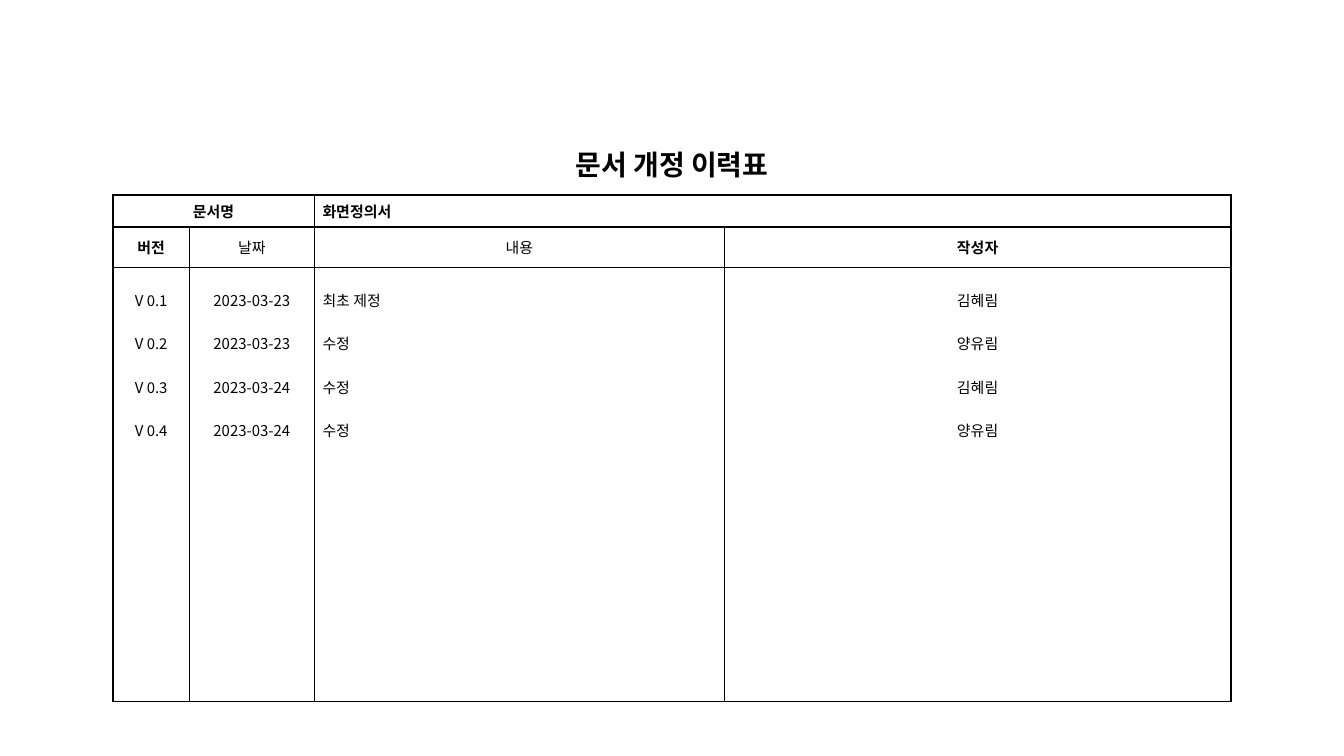
from dataclasses import dataclass

from lxml import etree
from pptx import Presentation
from pptx.dml.color import RGBColor
from pptx.enum.text import MSO_ANCHOR, PP_ALIGN
from pptx.oxml.ns import qn
from pptx.table import Table, _Cell
from pptx.util import Inches, Pt

CENTER, JUSTIFY = PP_ALIGN.CENTER, PP_ALIGN.JUSTIFY
TOP, MIDDLE = MSO_ANCHOR.TOP, MSO_ANCHOR.MIDDLE
FONT = "Noto Sans CJK KR"
COLORS = {"ink": "000000", "paper": "FFFFFF"}
COL_WIDTHS = [0.57, 0.93, 3.05, 3.77]
ROW_HEIGHTS = [0.77, 0.24, 0.3, 3.23]
ENTRY_GAP = 11.6  # points between history entries: one line of text


@dataclass
class Entry:
    version: str
    date: str
    content: str
    author: str


@dataclass
class Heading:
    text: str
    row: int
    col: int
    span: int = 1
    bold: bool = True
    align: PP_ALIGN = CENTER
    size: float = 8
    top: float = 0


HEADINGS = [
    Heading("문서 개정 이력표", 0, 0, span=4, size=15, top=0.3),
    Heading("문서명", 1, 0, span=2),
    Heading("화면정의서", 1, 2, span=2, align=JUSTIFY),
    Heading("버전", 2, 0),
    Heading("날짜", 2, 1, bold=False),
    Heading("내용", 2, 2, bold=False),
    Heading("작성자", 2, 3),
]
ENTRIES = [
    Entry("V 0.1", "2023-03-23", "최초 제정", "김혜림"),
    Entry("V 0.2", "2023-03-23", "수정", "양유림"),
    Entry("V 0.3", "2023-03-24", "수정", "김혜림"),
    Entry("V 0.4", "2023-03-24", "수정", "양유림"),
]


def write(cell: _Cell, lines: list[str], *, size: float = 8, bold: bool = False,
          align: PP_ALIGN = CENTER, anchor: MSO_ANCHOR = MIDDLE,
          top: float = 0, gap: float = 0) -> None:
    """Fill a cell with one paragraph per line."""
    cell.vertical_anchor = anchor
    cell.margin_left = cell.margin_right = Inches(0.06)
    cell.margin_top, cell.margin_bottom = Inches(top), Inches(0)
    tf = cell.text_frame
    for i, line in enumerate(lines):
        p = tf.add_paragraph() if i else tf.paragraphs[0]
        p.alignment = align
        if i:
            p.space_before = Pt(gap)
        r = p.add_run()
        r.text = line
        r.font.size, r.font.bold, r.font.name = Pt(size), bold, FONT
        r.font.color.rgb = RGBColor.from_string(COLORS["ink"])
        etree.SubElement(r.font._element, qn("a:ea"), typeface=FONT)


def style_cell(cell: _Cell, borders: dict[str, str]) -> None:
    """Give a cell 1 pt borders and a plain fill."""
    tcPr = cell._tc.get_or_add_tcPr()
    for side, color in borders.items():
        ln = etree.SubElement(tcPr, qn(f"a:ln{side}"), w=str(Pt(1)))
        fill = etree.SubElement(ln, qn("a:solidFill"))
        etree.SubElement(fill, qn("a:srgbClr"), val=COLORS[color])
    cell.fill.solid()
    cell.fill.fore_color.rgb = RGBColor.from_string(COLORS["paper"])


def add_grid(s) -> Table:
    """Add the empty table; only the title row has hidden outer borders."""
    frame = s.shapes.add_table(len(ROW_HEIGHTS), len(COL_WIDTHS), Inches(0.84), Inches(0.68),
                               Inches(sum(COL_WIDTHS)), Inches(sum(ROW_HEIGHTS)))
    table = frame.table
    table.first_row = table.horz_banding = False
    for col, width in zip(table.columns, COL_WIDTHS):
        col.width = Inches(width)
    for i, (row, height) in enumerate(zip(table.rows, ROW_HEIGHTS)):
        row.height = Inches(height)
        edge = "ink" if i else "paper"
        for cell in row.cells:
            style_cell(cell, {"L": edge, "R": edge, "T": edge, "B": "ink"})
    return table


def main() -> None:
    prs = Presentation()
    prs.slide_width = Inches(10)
    prs.slide_height = Inches(10 * 9 / 16)  # widescreen
    s = prs.slides.add_slide(prs.slide_layouts[6])
    table = add_grid(s)

    # Title and header rows
    for h in HEADINGS:
        cell = table.cell(h.row, h.col)
        if h.span > 1:
            cell.merge(table.cell(h.row, h.col + h.span - 1))
        write(cell, [h.text], size=h.size, bold=h.bold, align=h.align, top=h.top)

    # Revision history, one cell per column
    for col, field in enumerate(["version", "date", "content", "author"]):
        write(table.cell(3, col), [getattr(e, field) for e in ENTRIES],
              align=JUSTIFY if field == "content" else CENTER,
              anchor=TOP, top=0.16, gap=ENTRY_GAP)

    prs.save("out.pptx")


if __name__ == "__main__":
    main()
